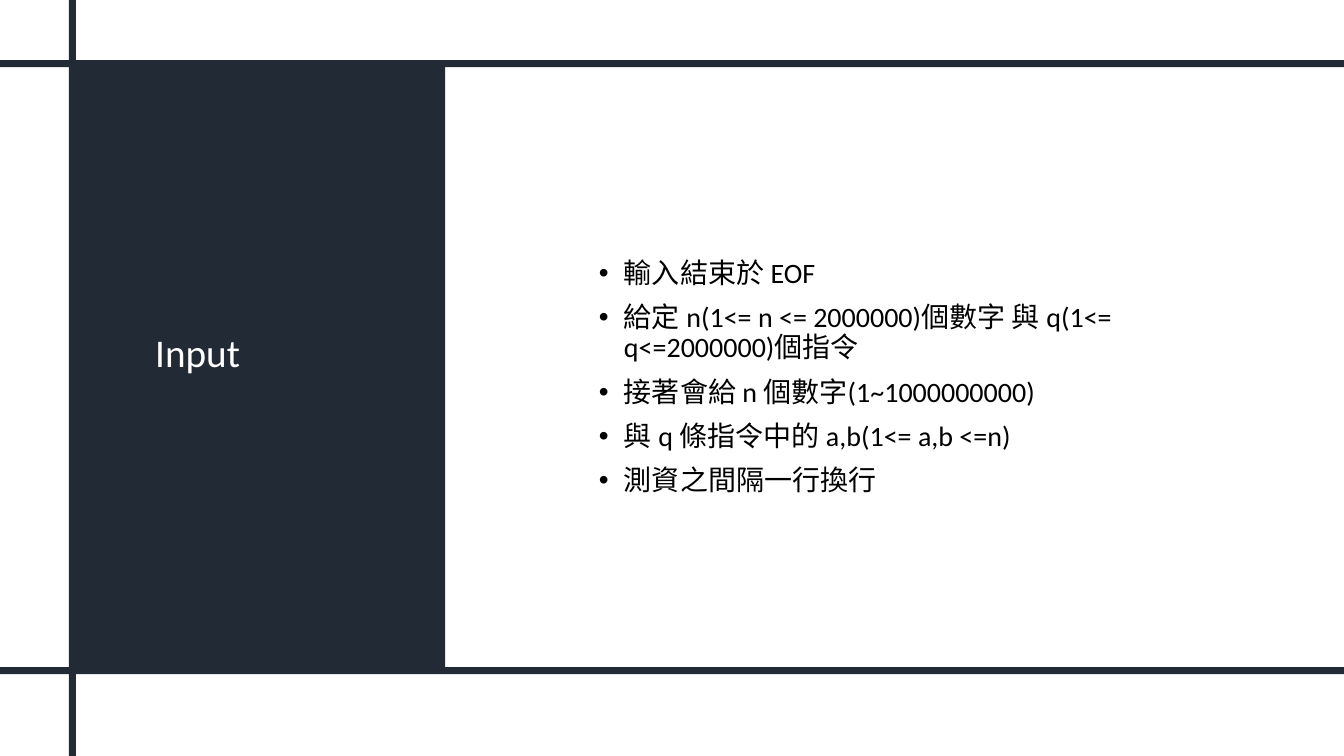
from lxml import etree
from pptx import Presentation
from pptx import util as u
from pptx.dml import color
from pptx.enum import shapes, text
from pptx.oxml import ns

WIDTH, HEIGHT = 960, 540
BAR = 5
NAVY, WHITE, BLACK = "222A35", "FFFFFF", "000000"
RULES = [
    "輸入結束於 EOF",
    "給定 n(1<= n <= 2000000)個數字 與 q(1<= q<=2000000)個指令",
    "接著會給 n 個數字(1~1000000000)",
    "與 q 條指令中的 a,b(1<= a,b <=n)",
    "測資之間隔一行換行",
]


def rgb(value):
    """Turn a hex string into a colour."""
    return color.RGBColor.from_string(value)


def add_block(page, left, top, width, height):
    """Add a plain navy rectangle."""
    block = page.shapes.add_shape(
        shapes.MSO_SHAPE.RECTANGLE, *map(u.Pt, (left, top, width, height)))
    block.shadow.inherit = False
    block.fill.solid()
    block.fill.fore_color.rgb = rgb(NAVY)
    block.line.fill.background()
    return block


def place(box, left, top, width, height):
    """Move a placeholder and centre its text vertically."""
    box.left, box.top, box.width, box.height = map(
        u.Pt, (left, top, width, height))
    frame = box.text_frame
    frame.word_wrap = True
    frame.auto_size = text.MSO_AUTO_SIZE.NONE
    frame.vertical_anchor = text.MSO_ANCHOR.MIDDLE
    return frame


def write(para, words, size, ink, before=0):
    """Write one formatted, left-aligned paragraph."""
    para.alignment = text.PP_ALIGN.LEFT
    para.line_spacing = 0.9
    para.space_before = u.Pt(before)
    span = para.add_run()
    span.text = words
    span.font.name = "Calibri"
    span.font.size = u.Pt(size)
    span.font.color.rgb = rgb(ink)


def add_bullet(para, indent):
    """Give a paragraph a round bullet and a hanging indent."""
    props = para._p.get_or_add_pPr()
    props.set("marL", str(u.Pt(indent)))
    props.set("indent", str(-u.Pt(indent)))
    etree.SubElement(props, ns.qn("a:buFont"), typeface="Arial")
    etree.SubElement(props, ns.qn("a:buChar"), char="•")


def main():
    """Build the input rules slide."""
    deck = Presentation()
    deck.slide_width, deck.slide_height = u.Pt(WIDTH), u.Pt(HEIGHT)
    page = deck.slides.add_slide(deck.slide_layouts[1])
    title, body = page.placeholders

    panel = add_block(page, 51.8, 48, 266.2, 428.4)
    title.element.addprevious(panel.element)

    heading = place(title, 103.7, 79.2, 159.8, 348.5)
    write(heading.paragraphs[0], "Input", 28, WHITE)

    listing = place(body, 420.5, 101.5, 456.5, 337)
    for index, rule in enumerate(RULES):
        para = listing.add_paragraph() if index else listing.paragraphs[0]
        write(para, rule, 20, BLACK, before=10)
        add_bullet(para, 18)

    add_block(page, 0, 476.6, WIDTH, BAR)
    add_block(page, 49.3, 0, BAR, HEIGHT)
    add_block(page, 0, 43, WIDTH, BAR)
    deck.save("out.pptx")


main()
